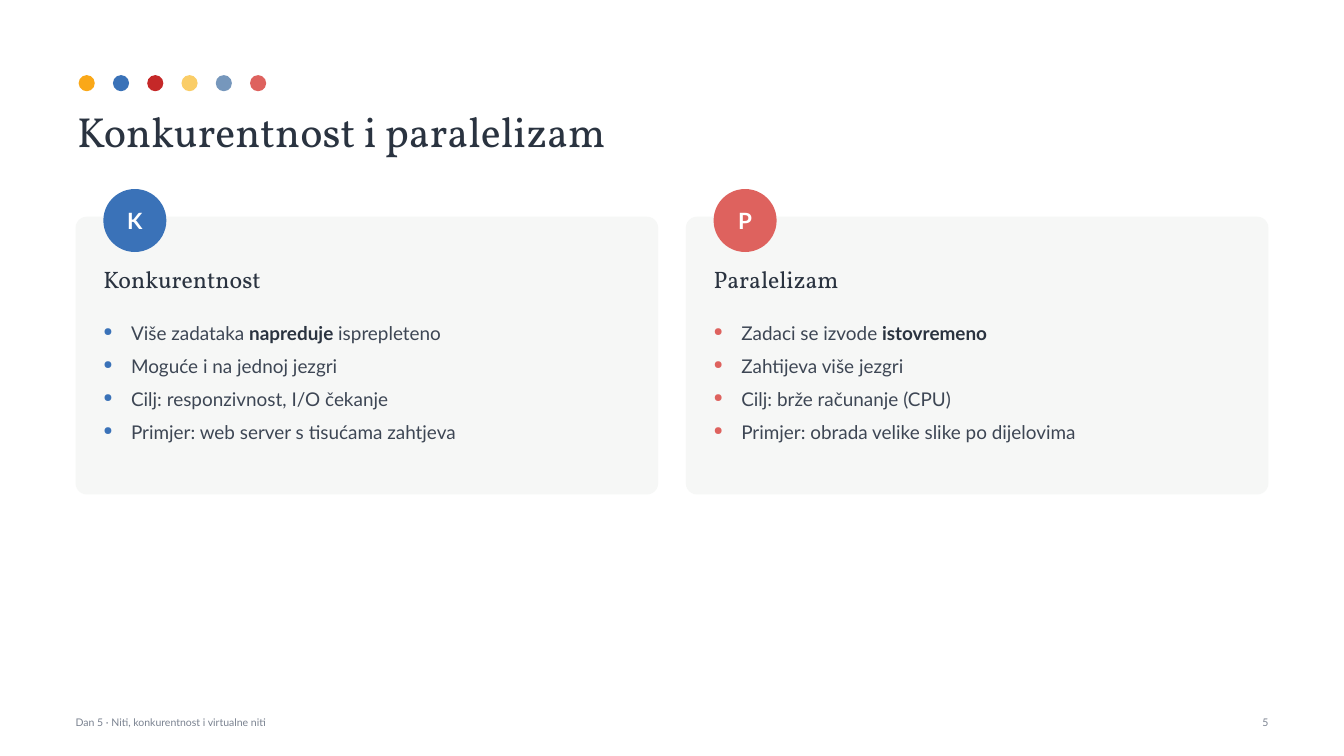
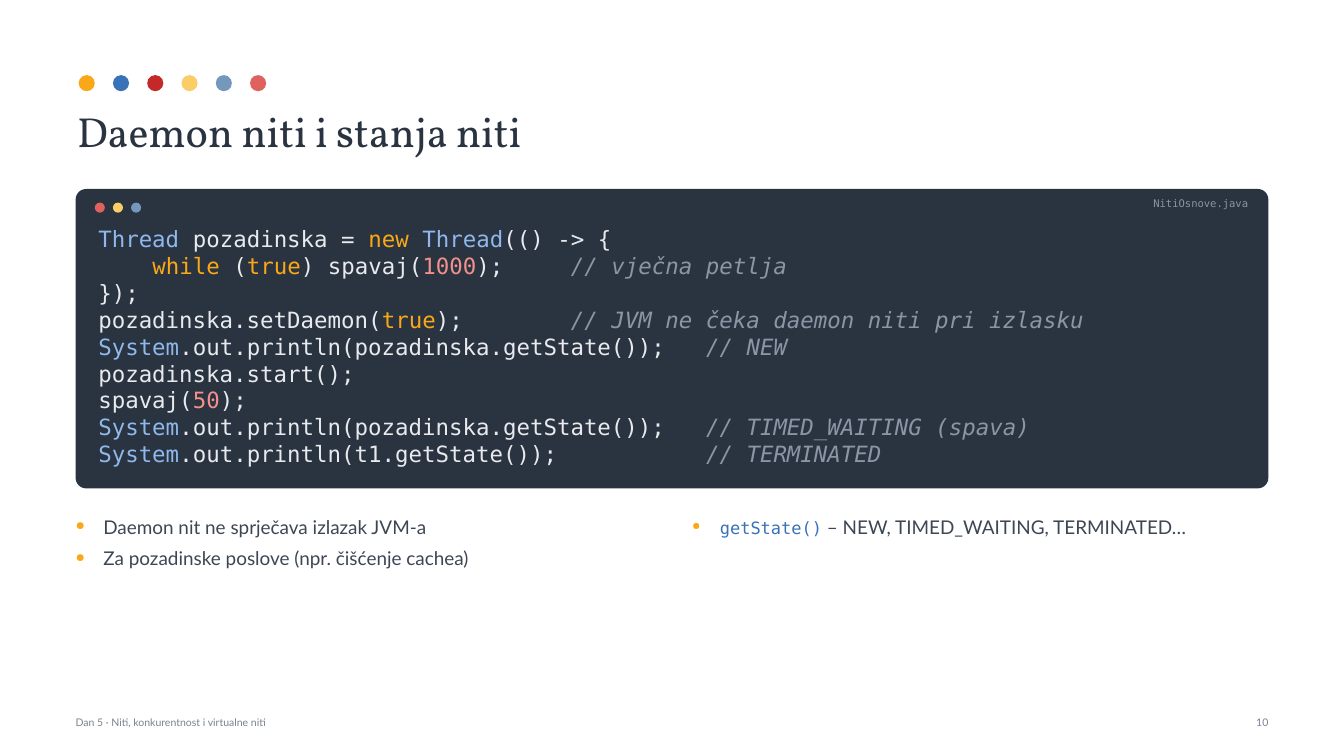
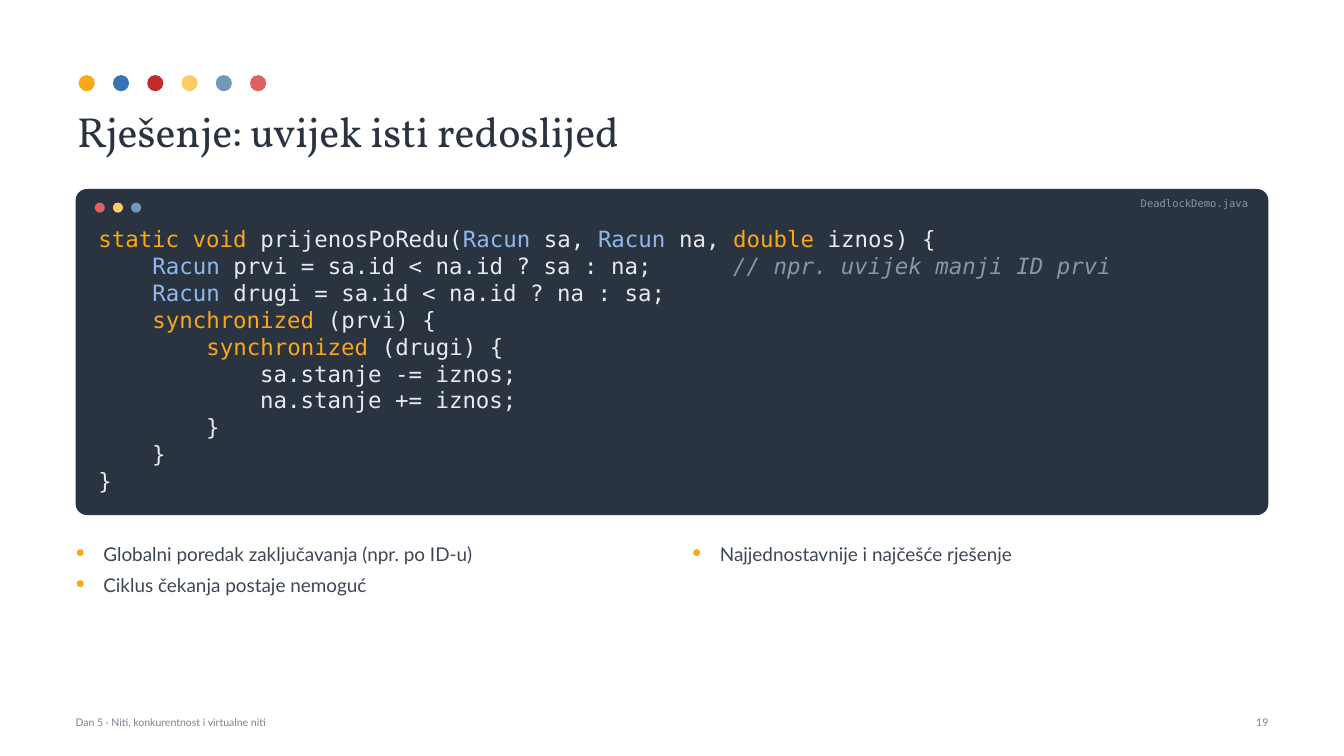
from collections import namedtuple

from lxml import etree
from pptx import Presentation
from pptx.dml.color import RGBColor
from pptx.enum.shapes import MSO_SHAPE
from pptx.enum.text import MSO_ANCHOR, MSO_AUTO_SIZE, PP_ALIGN
from pptx.oxml.ns import qn
from pptx.util import Inches, Pt

OVAL = MSO_SHAPE.OVAL
ROUNDED = MSO_SHAPE.ROUNDED_RECTANGLE
TOP, MIDDLE = MSO_ANCHOR.TOP, MSO_ANCHOR.MIDDLE
LEFT, CENTER, RIGHT = PP_ALIGN.LEFT, PP_ALIGN.CENTER, PP_ALIGN.RIGHT
GROW = MSO_AUTO_SIZE.SHAPE_TO_FIT_TEXT

AMBER = RGBColor(0xFA, 0xA8, 0x18)
BLUE = RGBColor(0x3A, 0x72, 0xB8)
RED = RGBColor(0xC5, 0x28, 0x28)
SAND = RGBColor(0xFA, 0xCD, 0x67)
STEEL = RGBColor(0x76, 0x97, 0xBC)
CORAL = RGBColor(0xDE, 0x62, 0x5E)
INK = RGBColor(0x2A, 0x33, 0x40)
BODY = RGBColor(0x3D, 0x46, 0x54)
MUTED = RGBColor(0x7A, 0x82, 0x90)
PANEL = RGBColor(0xF6, 0xF7, 0xF6)
WHITE = RGBColor(0xFF, 0xFF, 0xFF)
CODE_GREY = RGBColor(0x8C, 0x95, 0xA6)
CODE_LIGHT = RGBColor(0xE8, 0xEA, 0xED)
CODE_BLUE = RGBColor(0x8F, 0xB8, 0xEC)
CODE_PINK = RGBColor(0xF2, 0x90, 0x8C)

SERIF, SANS, MONO = "Vollkorn", "Lato", "DejaVu Sans Mono"
Style = namedtuple("Style", "font size color bold italic", defaults=(False, False))
TITLE = Style(SERIF, 60, INK)
HEADING = Style(SERIF, 34, INK)
BADGE = Style(SANS, 32, WHITE, bold=True)
TEXT = Style(SANS, 27, BODY)
STRONG = Style(SANS, 27, INK, bold=True)
INLINE = Style(MONO, 24.3, BLUE)
SMALL = Style(SANS, 15, MUTED)
FILENAME = Style(MONO, 15, CODE_GREY)
CODE = Style(MONO, 32, CODE_LIGHT)
KEYWORD = CODE._replace(color=AMBER)
TYPE = CODE._replace(color=CODE_BLUE)
NUMBER = CODE._replace(color=CODE_PINK)
COMMENT = CODE._replace(color=CODE_GREY, italic=True)

CELL = Inches(0.5)
COLS, ROWS = 53.32, 30
MARGIN = 3
CONTENT = COLS - 2 * MARGIN
PANEL_TOP = 7.5
LIST_BOTTOM = 27.4
LINE = 1.06
FOOTER = "Dan 5 · Niti, konkurentnost i virtualne niti"


def grid(*cells):
    return [round(c * CELL) for c in cells]


def halves(gap):
    width = (CONTENT - gap) / 2
    return width, (MARGIN, MARGIN + width + gap)


class Deck:
    def __init__(self):
        self.prs = Presentation()
        self.prs.slide_width, self.prs.slide_height = grid(COLS, ROWS)
        self.slide = None

    def new_slide(self, title, number):
        self.slide = self.prs.slides.add_slide(self.prs.slide_layouts[6])
        group = self.slide.shapes.add_group_shape()
        self.dots(3.12, 2.98, 0.64, 1.36,
                  (AMBER, BLUE, RED, SAND, STEEL, CORAL), group.shapes)
        self.text(2.86, 4, 47.6, 2.4, [title], TITLE, inset=0.2)
        self.text(MARGIN, 28.4, 32, 0.9, [FOOTER], SMALL)
        self.text(COLS - MARGIN - 5, 28.4, 5, 0.9, [str(number)], SMALL, RIGHT)

    def shape(self, kind, x, y, w, h, color, shapes=None, radius=None):
        sp = (shapes or self.slide.shapes).add_shape(kind, *grid(x, y, w, h))
        sp.shadow.inherit = False
        sp.fill.solid()
        sp.fill.fore_color.rgb = color
        sp.line.fill.background()
        if radius:
            sp.adjustments[0] = radius

    def dots(self, x, y, size, step, colors, shapes=None):
        for i, color in enumerate(colors):
            self.shape(OVAL, x + i * step, y, size, size, color, shapes)

    def text(self, x, y, w, h, lines, style, align=LEFT, anchor=TOP, inset=0):
        tf = self.slide.shapes.add_textbox(*grid(x, y, w, h)).text_frame
        tf.word_wrap = True
        tf.auto_size = GROW
        tf.vertical_anchor = anchor
        pad, = grid(inset)
        tf.margin_left = tf.margin_right = tf.margin_top = tf.margin_bottom = pad
        for i, line in enumerate(lines):
            p = tf.add_paragraph() if i else tf.paragraphs[0]
            p.alignment = align
            for run in [line] if isinstance(line, str) else line:
                self.run(p, *((style, run) if isinstance(run, str) else run))
        return tf

    def run(self, p, style, text):
        r = p.add_run()
        r.text = text
        r.font.name = style.font
        r.font.size = Pt(style.size)
        r.font.color.rgb = style.color
        r.font.bold = style.bold
        r.font.italic = style.italic

    def bullets(self, x, y, w, h, lines, color, after):
        indent, = grid(1.1)
        for p in self.text(x, y, w, h, lines, TEXT).paragraphs:
            pPr = p._p.get_or_add_pPr()
            pPr.set("marL", str(indent))
            pPr.set("indent", str(-indent))
            clr = etree.SubElement(pPr, qn("a:buClr"))
            etree.SubElement(clr, qn("a:srgbClr"), val=str(color))
            etree.SubElement(pPr, qn("a:buSzPct"), val="62000")
            etree.SubElement(pPr, qn("a:buChar"), char="●")
            p.line_spacing = 1.08
            p.space_after = Pt(after)

    def card(self, x, w, letter, color, heading, lines):
        left = x + 1.1
        badge = left, PANEL_TOP, 2.5, 2.5
        self.shape(ROUNDED, x, 8.6, w, 11.02, PANEL, radius=0.04)
        self.shape(OVAL, *badge, color)
        self.text(*badge, [letter], BADGE, CENTER, MIDDLE)
        self.text(left, 10.5, w - 2.2, 2, [heading], HEADING)
        self.bullets(left, 12.7, w - 2, 6.32, lines, color, 12)

    def code(self, filename, lines):
        height = LINE * len(lines) + 2.34
        self.shape(ROUNDED, MARGIN, PANEL_TOP, CONTENT, height, INK, radius=0.035)
        self.dots(3.76, 8.04, 0.4, 0.72, (CORAL, SAND, STEEL))
        self.text(7, 7.8, CONTENT - 4.8, 0.9, [filename], FILENAME, RIGHT)
        self.text(3.9, 8.94, CONTENT - 1.2, height - 1.54, lines, CODE)
        return PANEL_TOP + height + 1

    def code_slide(self, title, number, filename, lines, columns):
        self.new_slide(title, number)
        top = self.code(filename, lines)
        width, lefts = halves(1.6)
        for x, items in zip(lefts, columns):
            self.bullets(x, top, width, LIST_BOTTOM - top, items, AMBER, 10)


def main():
    deck = Deck()

    deck.new_slide("Konkurentnost i paralelizam", 5)
    width, lefts = halves(1.1)
    cards = [
        ("K", BLUE, "Konkurentnost", [
            ["Više zadataka ", (STRONG, "napreduje"), " isprepleteno"],
            "Moguće i na jednoj jezgri",
            "Cilj: responzivnost, I/O čekanje",
            "Primjer: web server s tisućama zahtjeva",
        ]),
        ("P", CORAL, "Paralelizam", [
            ["Zadaci se izvode ", (STRONG, "istovremeno")],
            "Zahtijeva više jezgri",
            "Cilj: brže računanje (CPU)",
            "Primjer: obrada velike slike po dijelovima",
        ]),
    ]
    for x, card in zip(lefts, cards):
        deck.card(x, width, *card)

    system = (TYPE, "System")
    print_state = ".out.println(pozadinska.getState());   "
    deck.code_slide("Daemon niti i stanja niti", 10, "NitiOsnove.java", [
        [(TYPE, "Thread "), "pozadinska = ", (KEYWORD, "new "),
         (TYPE, "Thread"), "(() -> {"],
        ["    ", (KEYWORD, "while "), "(", (KEYWORD, "true"), ") spavaj(",
         (NUMBER, "1000"), ");     ", (COMMENT, "// vječna petlja")],
        "});",
        ["pozadinska.setDaemon(", (KEYWORD, "true"), ");        ",
         (COMMENT, "// JVM ne čeka daemon niti pri izlasku")],
        [system, print_state, (COMMENT, "// NEW")],
        "pozadinska.start();",
        ["spavaj(", (NUMBER, "50"), ");"],
        [system, print_state, (COMMENT, "// TIMED_WAITING (spava)")],
        [system, ".out.println(t1.getState());           ",
         (COMMENT, "// TERMINATED")],
    ], [
        ["Daemon nit ne sprječava izlazak JVM-a",
         "Za pozadinske poslove (npr. čišćenje cachea)"],
        [[(INLINE, "getState()"), " – NEW, TIMED_WAITING, TERMINATED…"]],
    ])

    account = (TYPE, "Racun ")
    lock = (KEYWORD, "synchronized ")
    deck.code_slide("Rješenje: uvijek isti redoslijed", 19, "DeadlockDemo.java", [
        [(KEYWORD, "static void "), "prijenosPoRedu(", account, "sa, ",
         account, "na, ", (KEYWORD, "double "), "iznos) {"],
        ["    ", account, "prvi = sa.id < na.id ? sa : na;      ",
         (COMMENT, "// npr. uvijek manji ID prvi")],
        ["    ", account, "drugi = sa.id < na.id ? na : sa;"],
        ["    ", lock, "(prvi) {"],
        ["        ", lock, "(drugi) {"],
        "            sa.stanje -= iznos;",
        "            na.stanje += iznos;",
        "        }",
        "    }",
        "}",
    ], [
        ["Globalni poredak zaključavanja (npr. po ID-u)",
         "Ciklus čekanja postaje nemoguć"],
        ["Najjednostavnije i najčešće rješenje"],
    ])

    deck.prs.save("out.pptx")


if __name__ == "__main__":
    main()
